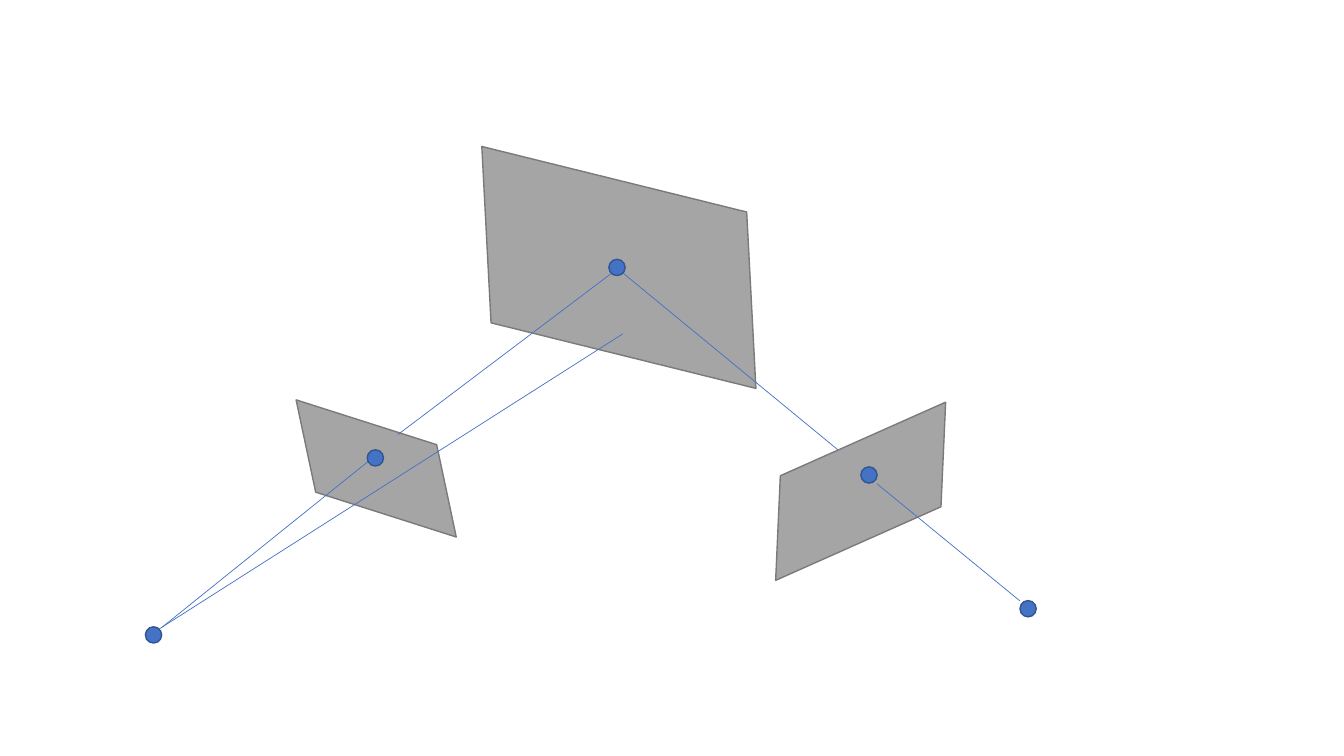
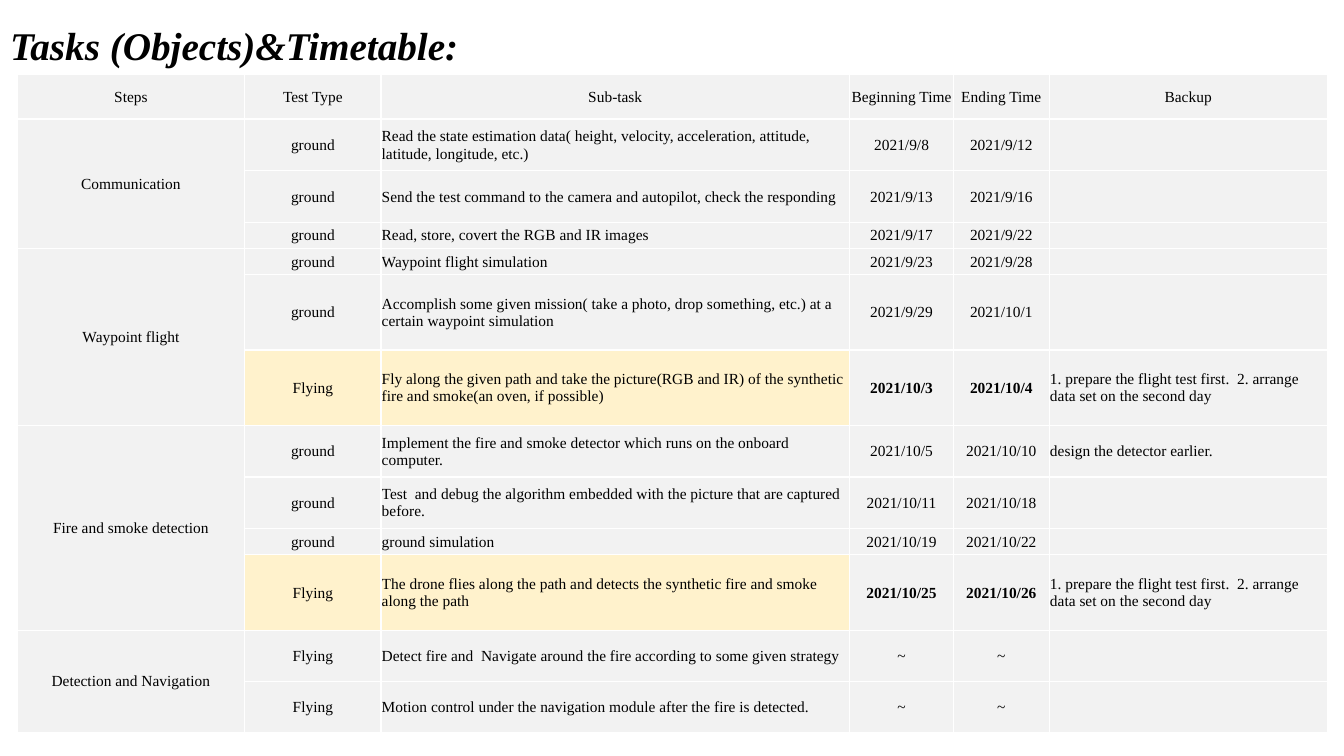
from lxml import etree
from pptx import Presentation
from pptx.dml.color import RGBColor
from pptx.enum.shapes import MSO_CONNECTOR, MSO_SHAPE
from pptx.enum.text import MSO_ANCHOR, MSO_AUTO_SIZE, PP_ALIGN
from pptx.oxml.ns import qn
from pptx.util import Cm, Pt

LEFT, CENTER = PP_ALIGN.LEFT, PP_ALIGN.CENTER
MIDDLE = MSO_ANCHOR.MIDDLE
FIT = MSO_AUTO_SIZE.SHAPE_TO_FIT_TEXT
PLANE, DOT = MSO_SHAPE.PARALLELOGRAM, MSO_SHAPE.OVAL
STRAIGHT = MSO_CONNECTOR.STRAIGHT

BLACK = RGBColor(0x00, 0x00, 0x00)
WHITE = RGBColor(0xFF, 0xFF, 0xFF)
GRAY = RGBColor(0xA5, 0xA5, 0xA5)
EDGE = RGBColor(0x7A, 0x7A, 0x7A)
BLUE = RGBColor(0x44, 0x72, 0xC4)
NAVY = RGBColor(0x32, 0x54, 0x91)
PALE = RGBColor(0xF2, 0xF2, 0xF2)
CREAM = RGBColor(0xFF, 0xF2, 0xCC)

FACE = "Times New Roman"
TITLE_ONLY, BLANK = 5, 6

# left, top, width, height, turn in degrees, slant
PLANES = [
    (12.37, 3.45, 6.45, 6.58, 87, 0.31),
    (7.37, 10.19, 4.22, 3.23, 78, 0.57),
    (18.82, 11.2, 5.74, 2.36, 336, 0.5),
]
# start x, start y, end x, end y
RAYS = [
    (15.42, 6.65, 21.11, 11.33),
    (22.1, 12.19, 25.7, 15.14),
    (15.42, 6.88, 10.03, 10.95),
    (9.4, 11.53, 4.09, 15.8),
    (15.7, 8.41, 4.01, 15.85),
]
# centre x, centre y
DOTS = [(15.55, 6.74), (9.46, 11.54), (21.9, 11.97), (3.87, 16), (25.91, 15.34)]
SIZE = 0.41

COLS = [5.74, 3.43, 11.81, 2.62, 2.41, 7.01]
ROWS = [1.12, 1.3, 1.3, 0.66, 0.66, 1.9, 1.9, 1.3, 1.3, 0.66, 1.9, 1.3, 1.27]
HEAD = ["Steps", "Test Type", "Sub-task", "Beginning Time", "Ending Time", "Backup"]
SPARE = "1. prepare the flight test first.  2. arrange data set on the second day"
STEPS = {
    "Communication": [
        ("ground", "Read the state estimation data( height, velocity, acceleration, "
         "attitude, latitude, longitude, etc.)", "2021/9/8", "2021/9/12", ""),
        ("ground", "Send the test command to the camera and autopilot, "
         "check the responding", "2021/9/13", "2021/9/16", ""),
        ("ground", "Read, store, covert the RGB and IR images",
         "2021/9/17", "2021/9/22", ""),
    ],
    "Waypoint flight": [
        ("ground", "Waypoint flight simulation", "2021/9/23", "2021/9/28", ""),
        ("ground", "Accomplish some given mission( take a photo, drop something, "
         "etc.) at a certain waypoint simulation", "2021/9/29", "2021/10/1", ""),
        ("Flying", "Fly along the given path and take the picture(RGB and IR) of the "
         "synthetic fire and smoke(an oven, if possible)",
         "2021/10/3", "2021/10/4", SPARE),
    ],
    "Fire and smoke detection": [
        ("ground", "Implement the fire and smoke detector which runs on the onboard "
         "computer.", "2021/10/5", "2021/10/10", "design the detector earlier."),
        ("ground", "Test  and debug the algorithm embedded with the picture that are "
         "captured before.", "2021/10/11", "2021/10/18", ""),
        ("ground", "ground simulation", "2021/10/19", "2021/10/22", ""),
        ("Flying", "The drone flies along the path and detects the synthetic fire and "
         "smoke along the path", "2021/10/25", "2021/10/26", SPARE),
    ],
    "Detection and Navigation": [
        ("Flying", "Detect fire and  Navigate around the fire according to some "
         "given strategy", "~", "~", ""),
        ("Flying", "Motion control under the navigation module after the fire is "
         "detected.", "~", "~", ""),
    ],
}


class Deck:
    def __init__(self):
        self.prs = Presentation()
        self.prs.slide_width, self.prs.slide_height = Cm(33.87), Cm(19.05)
        self.slide = None

    def page(self, layout):
        self.slide = self.prs.slides.add_slide(self.prs.slide_layouts[layout])

    def style(self, part, size, bold=False, slant=False):
        for run in part.runs:
            font = run.font
            font.name, font.size = FACE, Pt(size)
            font.bold, font.italic = bold, slant
            font.color.rgb = BLACK

    def title(self, text, left, top, width, height):
        box = self.slide.shapes.title
        box.left, box.top, box.width, box.height = map(Cm, (left, top, width, height))
        frame = box.text_frame
        frame.text = text
        frame.word_wrap, frame.auto_size = True, FIT
        frame.vertical_anchor = MIDDLE
        frame.paragraphs[0].alignment = LEFT
        self.style(frame.paragraphs[0], 28, True, True)

    def shape(self, kind, box, fill, edge):
        item = self.slide.shapes.add_shape(kind, *map(Cm, box))
        item.shadow.inherit = False
        item.fill.solid()
        item.fill.fore_color.rgb = fill
        item.line.color.rgb = edge
        item.line.width = Pt(1)
        return item

    def plane(self, left, top, width, height, turn, slant):
        item = self.shape(PLANE, (left, top, width, height), GRAY, EDGE)
        item.rotation = turn
        item.adjustments[0] = slant

    def dot(self, x, y):
        self.shape(DOT, (x - SIZE / 2, y - SIZE / 2, SIZE, SIZE), BLUE, NAVY)

    def ray(self, *ends):
        line = self.slide.shapes.add_connector(STRAIGHT, *map(Cm, ends))
        line.line.color.rgb = BLUE
        line.line.width = Pt(0.5)
        etree.SubElement(line._element.spPr, qn("a:effectLst"))

    def border(self, cell):
        props = cell._tc.get_or_add_tcPr()
        for side in ("lnL", "lnR", "lnT", "lnB"):
            line = etree.SubElement(props, qn("a:" + side), w=str(Pt(1)))
            fill = etree.SubElement(line, qn("a:solidFill"))
            etree.SubElement(fill, qn("a:srgbClr"), val=str(WHITE))

    def cell(self, cell, text, fill, align, bold):
        self.border(cell)
        cell.fill.solid()
        cell.fill.fore_color.rgb = fill
        cell.vertical_anchor = MIDDLE
        cell.margin_left = cell.margin_right = cell.margin_top = Cm(0.02)
        cell.margin_bottom = 0
        cell.text = text
        part = cell.text_frame.paragraphs[0]
        part.alignment = align
        self.style(part, 11, bold)
        if not text:  # keeps empty cells from stretching low rows
            etree.SubElement(part._p, qn("a:endParaRPr"), sz="1100")

    def table(self, left, top, cols, rows):
        box = map(Cm, (left, top, sum(cols), sum(rows)))
        grid = self.slide.shapes.add_table(len(rows), len(cols), *box).table
        grid.first_row = grid.horz_banding = False
        for col, width in zip(grid.columns, cols):
            col.width = Cm(width)
        for row, height in zip(grid.rows, rows):
            row.height = Cm(height)
        return grid

    def plan(self, grid, head, steps):
        """Fill the grid: a head row, then one merged first cell per step."""
        for col, text in enumerate(head):
            self.cell(grid.cell(0, col), text, PALE, CENTER, False)
        row = 1
        for step, tasks in steps.items():
            first = row
            for task in tasks:
                name = step if row == first else ""
                # dated flights stand out
                key = task[0] == "Flying" and task[2] != "~"
                for col, text in enumerate((name, *task)):
                    fill = CREAM if key and col in (1, 2) else PALE
                    align = LEFT if col in (2, 5) else CENTER
                    self.cell(grid.cell(row, col), text, fill, align,
                              key and col in (3, 4))
                row += 1
            grid.cell(first, 0).merge(grid.cell(row - 1, 0))


def main():
    deck = Deck()

    deck.page(BLANK)
    for plane in PLANES:
        deck.plane(*plane)
    for ray in RAYS:
        deck.ray(*ray)
    for dot in DOTS:
        deck.dot(*dot)

    deck.page(TITLE_ONLY)
    deck.title("Tasks (Objects)&Timetable:", 0, 0.41, 16.48, 1.45)
    deck.plan(deck.table(0.43, 1.88, COLS, ROWS), HEAD, STEPS)

    deck.prs.save("out.pptx")


if __name__ == "__main__":
    main()
